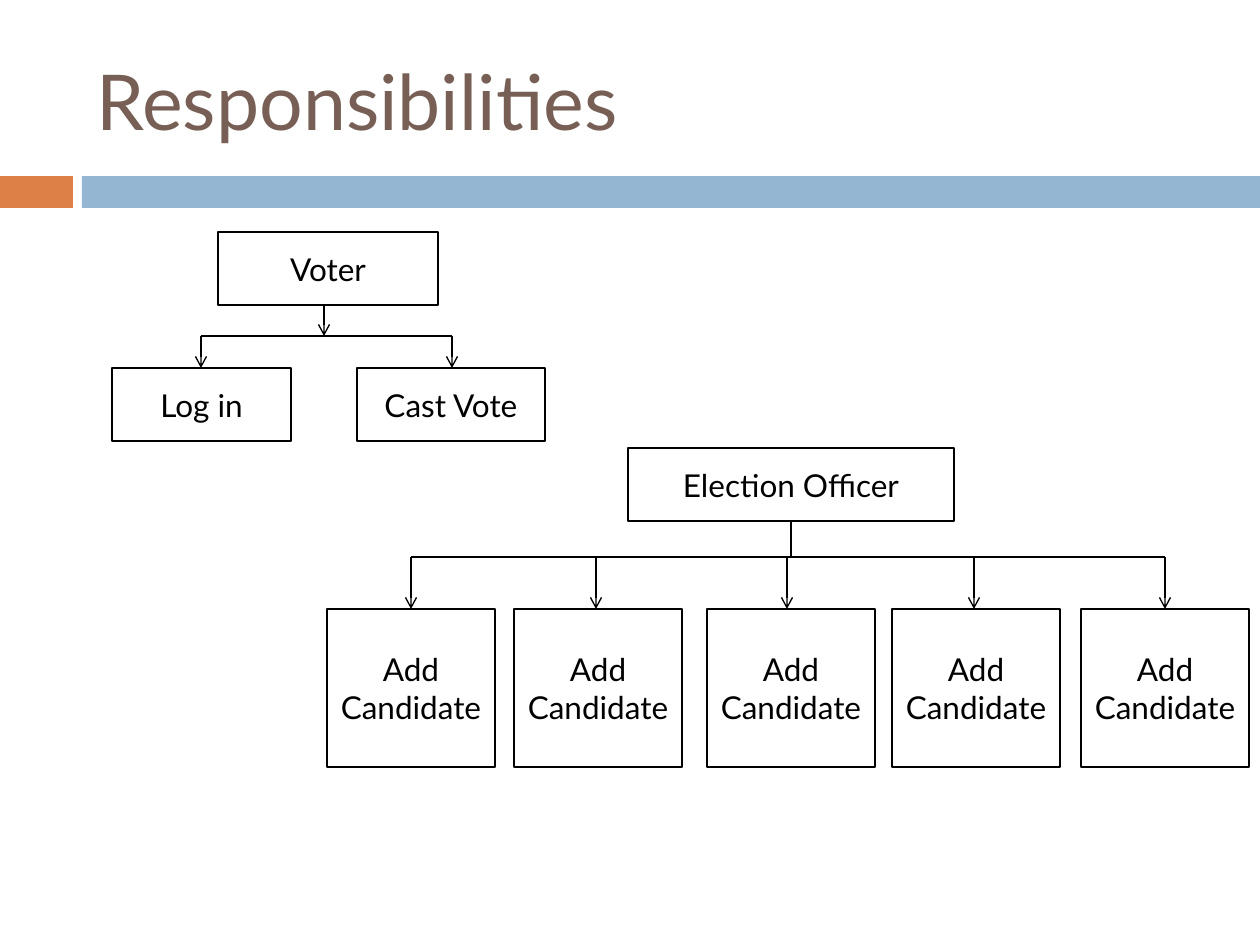
from lxml.etree import SubElement
from pptx import Presentation
from pptx.dml.color import RGBColor
from pptx.enum.shapes import MSO_CONNECTOR as Connector, MSO_SHAPE as Shape
from pptx.enum.text import MSO_ANCHOR as Anchor, PP_ALIGN as Align
from pptx.oxml.ns import qn
from pptx.util import Emu, Pt

BLACK = RGBColor(0x00, 0x00, 0x00)
WHITE = RGBColor(0xFF, 0xFF, 0xFF)
BROWN = RGBColor(0x77, 0x5F, 0x55)
ORANGE = RGBColor(0xDD, 0x80, 0x47)
BLUE = RGBColor(0x94, 0xB6, 0xD2)

TITLE = ("Responsibilities", (84, 32, 1124, 136))
BANDS = [(ORANGE, (0, 176, 73, 32)), (BLUE, (82, 176, 1178, 32))]
TREES = [
    {
        "root": ("Voter", (218, 232, 220, 73)),
        "stem": 324, "bus": 336, "stem_arrow": True,
        "row": (368, 73),
        "children": [("Log in", 112, 179, 201), ("Cast Vote", 357, 188, 452)],
    },
    {
        "root": ("Election Officer", (628, 448, 326, 73)),
        "stem": 791, "bus": 557, "stem_arrow": False,
        "row": (609, 158),
        "children": [
            ("Add Candidate", left, 168, arrow)
            for left, arrow in [(327, 411), (514, 596), (707, 787), (892, 974), (1081, 1165)]
        ],
    },
]
TITLE_FONT = {"name": "Lato", "size": Pt(44), "bold": False}
BOX_FONT = {"name": "Lato", "size": Pt(18), "bold": False}


def px(length):
    return Emu(round(length * 914400 / 126))


def write(shape, text, font, color, align):
    frame = shape.text_frame
    frame.word_wrap = True
    frame.vertical_anchor = Anchor.MIDDLE
    para = frame.paragraphs[0]
    para.alignment = align
    span = para.add_run()
    span.text = text
    for name, value in font.items():
        setattr(span.font, name, value)
    span.font.color.rgb = color


def add_block(slide, place, color):
    block = slide.shapes.add_shape(Shape.RECTANGLE, *map(px, place))
    block.shadow.inherit = False
    block.fill.solid()
    block.fill.fore_color.rgb = color
    block.line.fill.background()
    return block


def add_box(slide, text, place):
    box = add_block(slide, place, WHITE)
    box.line.color.rgb = BLACK
    box.line.width = Pt(1.5)
    write(box, text, BOX_FONT, BLACK, Align.CENTER)


def add_line(slide, ends, arrow=False):
    line = slide.shapes.add_connector(Connector.STRAIGHT, *map(px, ends))
    line.line.color.rgb = BLACK
    line.line.width = Pt(0.79)
    if arrow:
        SubElement(line.line._get_or_add_ln(), qn("a:tailEnd"), type="arrow")
    SubElement(line._element.spPr, qn("a:effectLst"))


def add_tree(slide, tree):
    text, place = tree["root"]
    left, top, width, height = place
    row_top, row_height = tree["row"]
    bus, stem = tree["bus"], tree["stem"]
    arrows = [child[-1] for child in tree["children"]]
    add_box(slide, text, place)
    add_line(slide, (stem, top + height, stem, bus), tree["stem_arrow"])
    add_line(slide, (arrows[0], bus, arrows[-1], bus))
    for label, child_left, child_width, arrow in tree["children"]:
        add_box(slide, label, (child_left, row_top, child_width, row_height))
        add_line(slide, (arrow, bus, arrow, row_top), True)


def main():
    deck = Presentation()
    deck.slide_width, deck.slide_height = px(1260), px(945)
    page = deck.slides.add_slide(deck.slide_layouts[5])
    for color, place in BANDS:
        add_block(page, place, color)
    text, place = TITLE
    title = page.shapes.title
    for name, value in zip(("left", "top", "width", "height"), place):
        setattr(title, name, px(value))
    write(title, text, TITLE_FONT, BROWN, Align.LEFT)
    for tree in TREES:
        add_tree(page, tree)
    deck.save("out.pptx")


if __name__ == "__main__":
    main()
